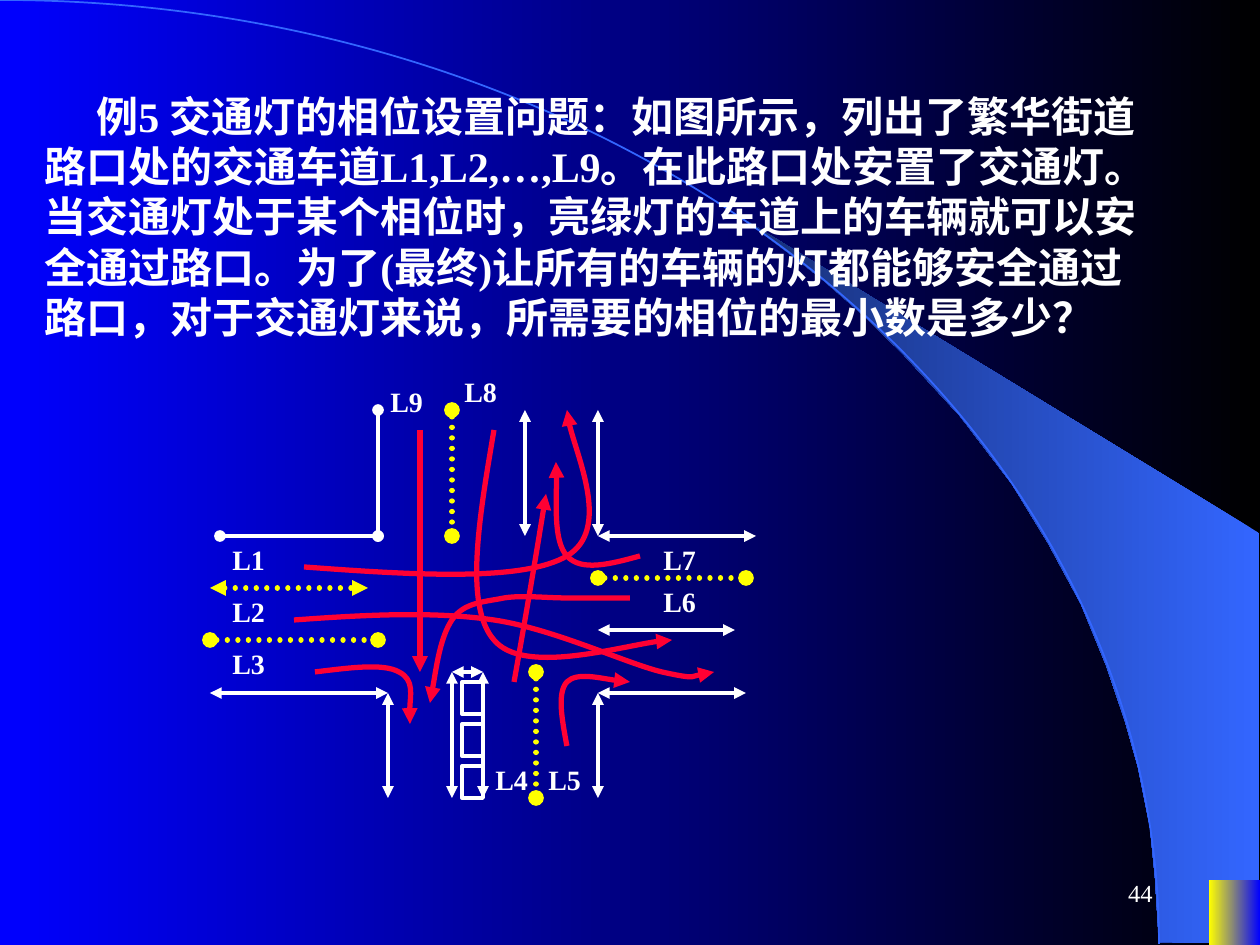
from lxml import etree
from pptx import Presentation
from pptx.dml.color import RGBColor
from pptx.enum.dml import MSO_LINE
from pptx.enum.shapes import MSO_CONNECTOR, MSO_SHAPE
from pptx.enum.text import MSO_ANCHOR, PP_ALIGN
from pptx.oxml.ns import qn
from pptx.util import Pt

EMU_PER_PX = 914400 / 126
STRAIGHT = MSO_CONNECTOR.STRAIGHT
RECTANGLE = MSO_SHAPE.RECTANGLE
ROUND_DOT = MSO_LINE.ROUND_DOT
TOP, MIDDLE = MSO_ANCHOR.TOP, MSO_ANCHOR.MIDDLE
LEFT, RIGHT = PP_ALIGN.LEFT, PP_ALIGN.RIGHT

BLACK = RGBColor(0x00, 0x00, 0x00)
BLUE = RGBColor(0x00, 0x00, 0xFF)
SKY = RGBColor(0x33, 0x66, 0xFF)
NAVY = RGBColor(0x17, 0x2F, 0x75)
YELLOW = RGBColor(0xFF, 0xFF, 0x00)
WHITE = RGBColor(0xFF, 0xFF, 0xFF)
RED = RGBColor(0xFF, 0x00, 0x33)

QUESTION = (
    "例5 交通灯的相位设置问题：如图所示，列出了繁华街道路口处的交通车道"
    "L1,L2,…,L9。在此路口处安置了交通灯。当交通灯处于某个相位时，"
    "亮绿灯的车道上的车辆就可以安全通过路口。为了(最终)让所有的车辆的灯"
    "都能够安全通过路口，对于交通灯来说，所需要的相位的最小数是多少？"
)

SWEEP = [
    (1159, 942), (1259, 944), (1259, 533), (742, 218), (786, 251), (823, 280),
    (863, 315), (902, 353), (960, 416), (1012, 484), (1048, 543), (1081, 604),
    (1106, 665), (1125, 721), (1138, 767), (1150, 827), (1155, 877),
]
HORIZON = [(0, 0), (640, 0), (1159, 422), (1159, 944)]

# Each line is x1, y1, x2, y2
ROUND_KERBS = [(378, 410, 378, 536), (220, 536, 378, 536)]
KERBS = [
    (210, 693, 388, 693), (388, 693, 388, 798),
    (525, 410, 525, 536), (598, 410, 598, 536),
    (598, 536, 756, 536), (598, 630, 735, 630),
    (598, 693, 746, 693), (598, 693, 598, 798),
    (452, 672, 452, 798), (452, 672, 483, 672), (483, 672, 483, 798),
]
ARROW_DIVIDERS = [(210, 588, 368, 588)]
ROUND_DIVIDERS = [
    (210, 640, 378, 640), (452, 410, 452, 536),
    (598, 578, 746, 578), (536, 672, 536, 798),
]
LANE_LABELS = {
    "L5": (536, 756), "L4": (483, 756), "L3": (220, 640),
    "L2": (220, 588), "L1": (220, 536), "L9": (378, 378),
    "L8": (452, 368), "L7": (651, 536), "L6": (651, 578),
}
# Each route is a start point followed by Bezier triples
ROUTES = [
    [(294, 620), (363, 615), (432, 611), (494, 620), (554, 629), (625, 663),
     (662, 672), (698, 680), (706, 672), (714, 672)],
    [(315, 672), (349, 668), (383, 663), (399, 672), (415, 680), (408, 716),
     (410, 724)],
    [(630, 598), (609, 598), (588, 598), (567, 598), (546, 598), (523, 595),
     (504, 598), (485, 602), (464, 602), (452, 620), (440, 638), (433, 689),
     (430, 703)],
    [(567, 746), (562, 719), (557, 693), (567, 682), (577, 672), (620, 682),
     (630, 682)],
    [(494, 430), (479, 518), (464, 606), (494, 640), (523, 675), (643, 640),
     (672, 640)],
    [(640, 556), (611, 564), (581, 572), (567, 556), (553, 541), (558, 478),
     (556, 462)],
    [(514, 682), (528, 604), (541, 525), (546, 494)],
    [(304, 567), (413, 575), (523, 582), (567, 556), (611, 530), (567, 433),
     (567, 410)],
]


def px(length):
    return round(length * EMU_PER_PX)


def set_gradient(fill, right, left):
    fill.gradient()
    fill.gradient_angle = 180
    for stop, color in zip(fill.gradient_stops, (right, left)):
        stop.color.rgb = color


class Canvas:
    font = "Times New Roman"

    def __init__(self, slide):
        self.slide = slide
        self.shapes = slide.shapes

    def stroke(self, line, color, width, head=None, tail=None, dotted=False):
        line.color.rgb = color
        line.width = Pt(width)
        ln = line._get_or_add_ln()
        if dotted:
            line.dash_style = ROUND_DOT
            ln.set("cap", "rnd")
        for tag, end in (("a:headEnd", head), ("a:tailEnd", tail)):
            if end:
                etree.SubElement(ln, qn(tag)).set("type", end)

    def line(self, ends, color, width, head=None, tail=None, dotted=False):
        connector = self.shapes.add_connector(STRAIGHT, *map(px, ends))
        self.stroke(connector.line, color, width, head, tail, dotted)
        etree.SubElement(connector._element.spPr, qn("a:effectLst"))

    def outline(self, points, close):
        builder = self.shapes.build_freeform(*points[0], scale=EMU_PER_PX)
        builder.add_line_segments(points[1:], close=close)
        shape = builder.convert_to_shape()
        shape.shadow.inherit = False
        return shape

    def gradient_area(self, points, right, left):
        area = self.outline(points, close=True)
        set_gradient(area.fill, right, left)
        area.line.fill.background()

    def curve(self, points, color, width, tail=None):
        """Draw a Bezier chain: every three points after the start are one segment."""
        shape = self.outline(points, close=False)
        segments = list(shape._element.iter(qn("a:lnTo")))
        for first in range(0, len(segments), 3):
            bezier = etree.Element(qn("a:cubicBezTo"))
            segments[first].addprevious(bezier)
            for segment in segments[first:first + 3]:
                bezier.append(segment[0])
                segment.getparent().remove(segment)
        shape.fill.background()
        self.stroke(shape.line, color, width, tail=tail)

    def rectangle(self, x, y, width, height):
        shape = self.shapes.add_shape(RECTANGLE, px(x), px(y), px(width), px(height))
        shape.shadow.inherit = False
        return shape

    def text(self, words, x, y, width, height, size, bold=True, wrap=False,
             indent=0, align=LEFT, anchor=TOP):
        box = self.shapes.add_textbox(px(x), px(y), px(width), px(height))
        frame = box.text_frame
        frame.text = words
        frame.word_wrap = wrap
        frame.vertical_anchor = anchor
        paragraph = frame.paragraphs[0]
        paragraph.alignment = align
        if indent:
            paragraph._p.get_or_add_pPr().set("indent", str(px(indent)))
        font = paragraph.runs[0].font
        font.name, font.size, font.bold = self.font, Pt(size), bold
        font.color.rgb = WHITE


def draw_backdrop(canvas):
    set_gradient(canvas.slide.background.fill, BLACK, BLUE)
    canvas.gradient_area(SWEEP, SKY, NAVY)
    canvas.curve(HORIZON, SKY, 1)
    corner = canvas.rectangle(1209, 880, 51, 65)
    set_gradient(corner.fill, BLUE, YELLOW)
    corner.line.fill.background()


def draw_junction(canvas):
    for ends in ROUND_KERBS:
        canvas.line(ends, WHITE, 2.25, "oval", "oval")
    for ends in KERBS:
        canvas.line(ends, WHITE, 2.25, "triangle", "triangle")
    for ends in ARROW_DIVIDERS:
        canvas.line(ends, YELLOW, 3, "triangle", "triangle", dotted=True)
    for ends in ROUND_DIVIDERS:
        canvas.line(ends, YELLOW, 3, "oval", "oval", dotted=True)
    for row in range(3):
        island = canvas.rectangle(462, 682 + 42 * row, 21, 32)
        island.fill.background()
        canvas.stroke(island.line, WHITE, 2.25)
    for lane, (x, y) in LANE_LABELS.items():
        canvas.text(lane, x, y, 76, 47, 16)
    canvas.line((420, 430, 420, 672), RED, 3, tail="triangle")
    for route in ROUTES:
        canvas.curve(route, RED, 3, tail="triangle")


def main():
    deck = Presentation()
    deck.slide_width, deck.slide_height = px(1260), px(945)
    canvas = Canvas(deck.slides.add_slide(deck.slide_layouts[6]))
    draw_backdrop(canvas)
    canvas.text(QUESTION, 32, 84, 1124, 315, 24, wrap=True, indent=52)
    draw_junction(canvas)
    canvas.text("44", 903, 861, 262, 63, 14, bold=False, wrap=True,
                align=RIGHT, anchor=MIDDLE)
    deck.save("out.pptx")


if __name__ == "__main__":
    main()
